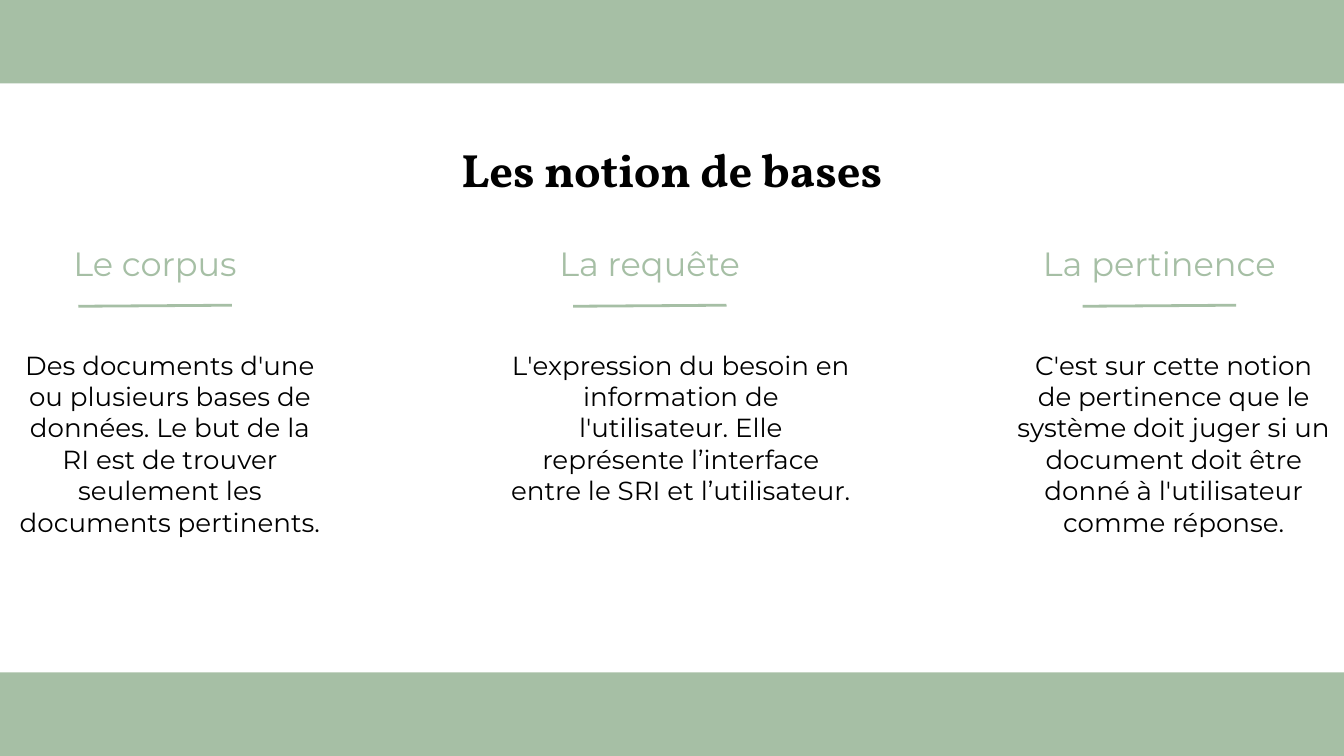
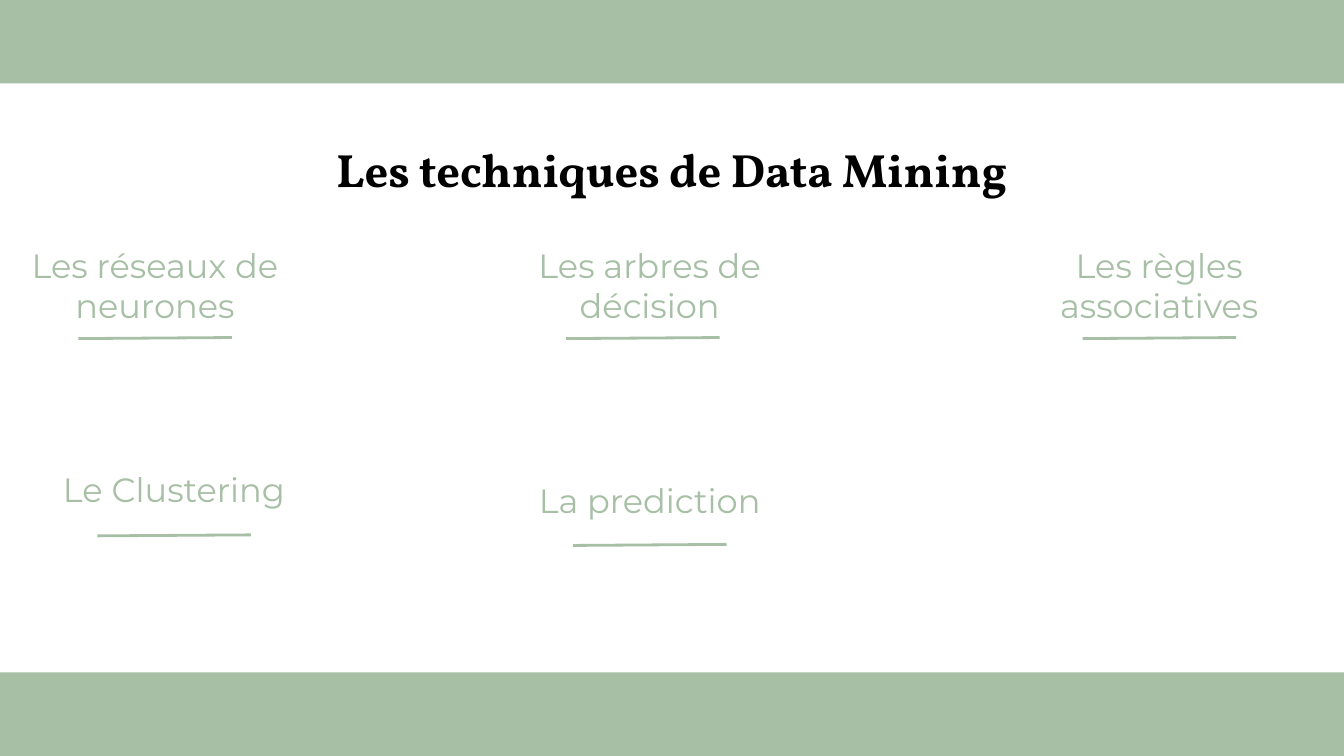
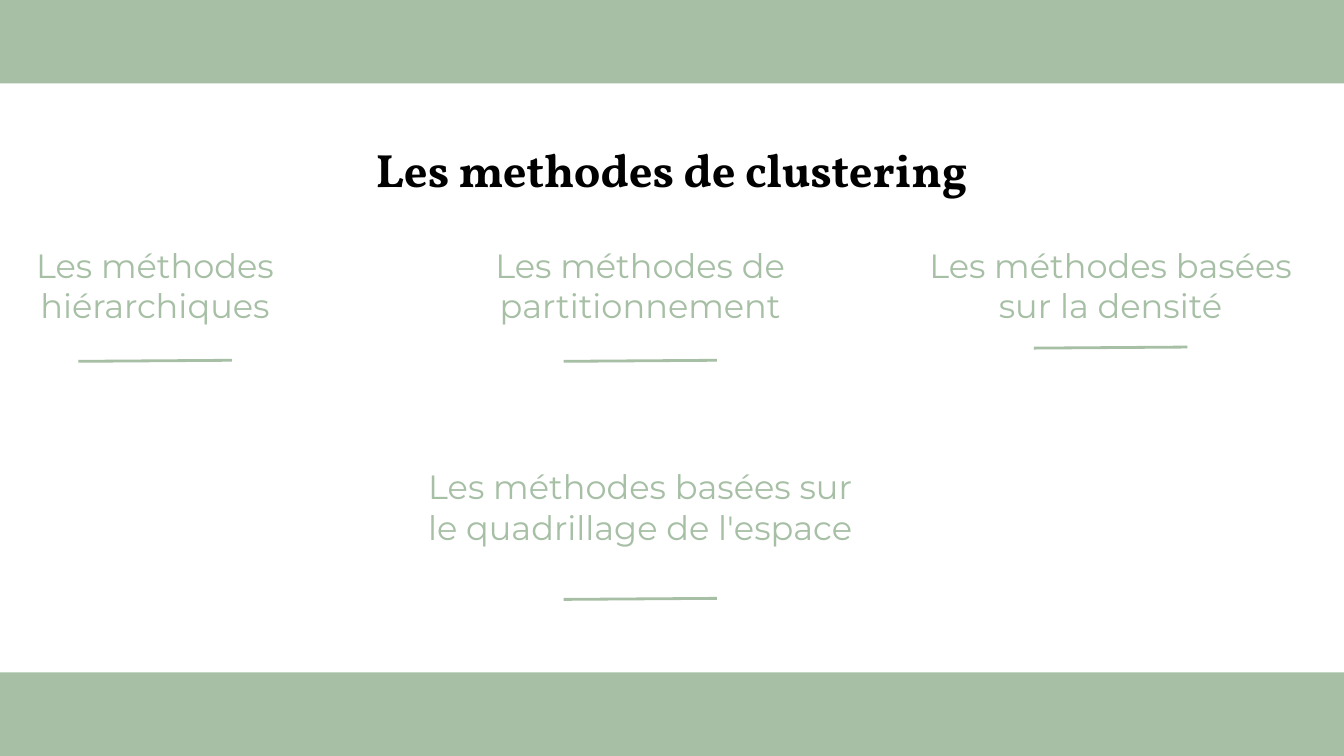
from dataclasses import dataclass

from lxml.etree import SubElement
from pptx import Presentation
from pptx.dml.color import RGBColor
from pptx.enum.shapes import MSO_CONNECTOR, MSO_SHAPE
from pptx.enum.text import MSO_ANCHOR, PP_ALIGN
from pptx.oxml.ns import qn
from pptx.util import Cm, Pt

COLORS = {"sage": "A6BFA5", "text": "000000"}
TITLE_FONT, BODY_FONT = "Vollkorn", "Montserrat"

SLIDE_W, SLIDE_H = 25.4, 14.29
BAND_H = 1.58
INSET = 0.25
LEFT, MIDDLE, RIGHT = 0.3, 9.65, 19.28
WIDE_MIDDLE, WIDE_W = 7.6, 9.0
FIRST_ROW = 4.34
HEADING_H = {1: 1.27, 2: 2.06}
RULE_W, RULE_RISE = 2.9, 0.02
BODY_TOP = 6.35


@dataclass
class Topic:
    """A heading, the rule under it and an optional paragraph (cm)."""
    heading: str
    left: float
    top: float = FIRST_ROW
    width: float = 5.26
    lines: int = 2
    rule_gap: float = 0
    rule_shift: float = 0
    body: str = ""
    body_left: float = 0
    body_width: float = 6.43
    body_height: float = 4.11


SLIDES = [
    ("Les notion de bases", [
        Topic("Le corpus", LEFT, lines=1, rule_gap=0.18,
              body="Des documents d'une ou plusieurs bases de données. Le but de la RI "
                   "est de trouver seulement les documents pertinents."),
        Topic("La requête", MIDDLE, lines=1, rule_gap=0.18,
              body="L'expression du besoin en information de l'utilisateur. Elle "
                   "représente l’interface entre le SRI et l’utilisateur.",
              body_left=9.35, body_width=7.04, body_height=3.51),
        Topic("La pertinence", RIGHT, lines=1, rule_gap=0.18,
              body="C'est sur cette notion de pertinence que le système doit juger si un "
                   "document doit être donné à l'utilisateur comme réponse.",
              body_left=18.97),
    ]),
    ("Les techniques de Data Mining", [
        Topic("Les réseaux de neurones", LEFT),
        Topic("Les arbres de décision", MIDDLE, rule_shift=-0.13),
        Topic("Les règles associatives", RIGHT),
        Topic("Le Clustering", 0.66, top=8.61, lines=1, rule_gap=0.25),
        Topic("La prediction", MIDDLE, top=8.81, lines=1, rule_gap=0.23),
    ]),
    ("Les methodes de clustering", [
        Topic("Les méthodes hiérarchiques", LEFT, rule_gap=0.43),
        Topic("Les méthodes de partitionnement", WIDE_MIDDLE, width=WIDE_W, rule_gap=0.43),
        Topic("Les méthodes basées sur la densité", 16.81, width=8.36, rule_gap=0.18),
        Topic("Les méthodes basées sur le quadrillage de l'espace", WIDE_MIDDLE,
              top=8.53, width=WIDE_W, rule_gap=0.74),
    ]),
]


def rgb(name):
    return RGBColor.from_string(COLORS[name])


def write(sp, text, font, size, color, anchor=MSO_ANCHOR.TOP, bold=False, after=0):
    tf = sp.text_frame
    tf.text = text
    tf.word_wrap = True
    tf.vertical_anchor = anchor
    tf.margin_left = tf.margin_right = tf.margin_top = tf.margin_bottom = Cm(INSET)
    p = tf.paragraphs[0]
    p.alignment = PP_ALIGN.CENTER
    p.space_before, p.space_after = Pt(0), Pt(after)
    f = p.runs[0].font
    f.name, f.size, f.bold = font, Pt(size), bold
    f.color.rgb = rgb(color)


def add_bands(s, layout):
    """Draw the two bands and hand them over to the layout."""
    for i, top in enumerate((0, SLIDE_H - BAND_H)):
        sp = s.shapes.add_shape(MSO_SHAPE.RECTANGLE, 0, Cm(top), Cm(SLIDE_W), Cm(BAND_H))
        sp.shadow.inherit = False
        sp.fill.solid()
        sp.fill.fore_color.rgb = rgb("sage")
        sp.line.fill.background()
        sp.element.nvSpPr.cNvPr.set("id", str(100 + i))
        layout.shapes.element.append(sp.element)


def add_title(s, text):
    sp = s.shapes.title
    sp.left, sp.top, sp.width, sp.height = Cm(1.85), Cm(2.41), Cm(21.69), Cm(1.78)
    write(sp, text, TITLE_FONT, 25, "text", bold=True)


def add_rule(s, center, y):
    x = center - RULE_W / 2
    c = s.shapes.add_connector(MSO_CONNECTOR.STRAIGHT, Cm(x), Cm(y),
                               Cm(x + RULE_W), Cm(y - RULE_RISE))
    c.line.color.rgb = rgb("sage")
    c.line.width = Pt(1.5)
    SubElement(c.element.spPr, qn("a:effectLst"))


def add_topic(s, t):
    height = HEADING_H[t.lines]
    sp = s.shapes.add_textbox(Cm(t.left), Cm(t.top), Cm(t.width), Cm(height))
    write(sp, t.heading, BODY_FONT, 18, "sage", anchor=MSO_ANCHOR.BOTTOM)
    if t.body:
        sp = s.shapes.add_textbox(Cm(t.body_left), Cm(BODY_TOP),
                                  Cm(t.body_width), Cm(t.body_height))
        write(sp, t.body, BODY_FONT, 14, "text", after=16)
    add_rule(s, t.left + t.width / 2 + t.rule_shift, t.top + height + t.rule_gap)


def main():
    prs = Presentation()
    prs.slide_width, prs.slide_height = Cm(SLIDE_W), Cm(SLIDE_H)
    layout = prs.slide_layouts.get_by_name("Title Only")
    for i, (title, topics) in enumerate(SLIDES):
        s = prs.slides.add_slide(layout)
        if i == 0:
            add_bands(s, layout)
        add_title(s, title)
        for t in topics:
            add_topic(s, t)
    prs.save("out.pptx")


if __name__ == "__main__":
    main()
